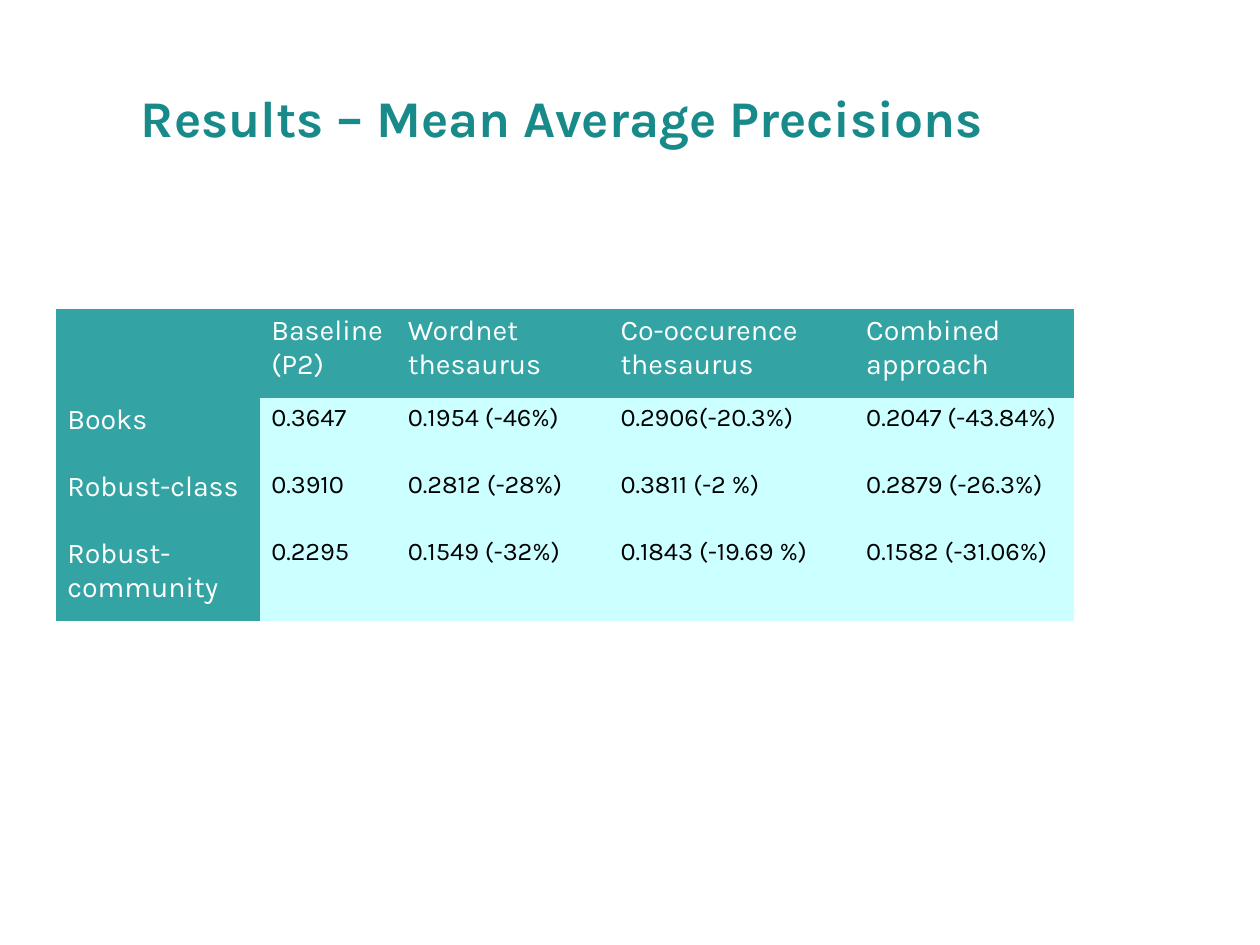
import pptx
import pptx.util
import pptx.dml.color
import pptx.enum.text

TITLE_TEAL = pptx.dml.color.RGBColor(0x19, 0x8A, 0x8A)
HEADER_TEAL = pptx.dml.color.RGBColor(0x33, 0xA3, 0xA3)
PALE_CYAN = pptx.dml.color.RGBColor(0xCC, 0xFF, 0xFF)
WHITE = pptx.dml.color.RGBColor(0xFF, 0xFF, 0xFF)
BLACK = pptx.dml.color.RGBColor(0x00, 0x00, 0x00)
FONT = "Karla"
PLAIN_STYLE = "{2D5ABB26-0587-4C30-8999-92F81FD0307C}"  # no style, no grid

COLUMN_WIDTHS = [128.5, 86.1, 133.9, 154.8, 138.2]
ROW_HEIGHTS = [56.2, 42.2, 42.2, 56.4]
RESULTS = [
    ["", "Baseline (P2)", "Wordnet thesaurus", "Co-occurence thesaurus", "Combined approach"],
    ["Books", "0.3647", "0.1954 (-46%)", "0.2906(-20.3%)", "0.2047 (-43.84%)"],
    ["Robust-class", "0.3910", "0.2812 (-28%)", "0.3811 (-2 %)", "0.2879 (-26.3%)"],
    ["Robust-community", "0.2295", "0.1549 (-32%)", "0.1843 (-19.69 %)", "0.1582 (-31.06%)"],
]

prs = pptx.Presentation()
prs.slide_width = pptx.util.Pt(793.7)
prs.slide_height = pptx.util.Pt(595.28)
s = prs.slides.add_slide(prs.slide_layouts[5])

# Title
sp = s.shapes.title
sp.left, sp.top = pptx.util.Pt(28), pptx.util.Pt(23.8)
sp.width, sp.height = pptx.util.Pt(652.3), pptx.util.Pt(99.4)
tf = sp.text_frame
tf.text = "Results – Mean Average Precisions"
tf.auto_size = pptx.enum.text.MSO_AUTO_SIZE.NONE
tf.vertical_anchor = pptx.enum.text.MSO_ANCHOR.MIDDLE
tf.margin_left = tf.margin_right = tf.margin_top = tf.margin_bottom = 0
p = tf.paragraphs[0]
p.alignment = pptx.enum.text.PP_ALIGN.CENTER
p.font.name, p.font.size, p.font.bold = FONT, pptx.util.Pt(32.4), True
p.font.color.rgb = TITLE_TEAL

# Results table without borders or banding
frame = s.shapes.add_table(len(ROW_HEIGHTS), len(COLUMN_WIDTHS),
                           pptx.util.Pt(35.2), pptx.util.Pt(194.5),
                           pptx.util.Pt(sum(COLUMN_WIDTHS)), pptx.util.Pt(sum(ROW_HEIGHTS)))
table = frame.table
table.first_row = table.horz_banding = False
table._tbl.tblPr[0].text = PLAIN_STYLE
for column, width in zip(table.columns, COLUMN_WIDTHS):
    column.width = pptx.util.Pt(width)
for row, height in zip(table.rows, ROW_HEIGHTS):
    row.height = pptx.util.Pt(height)

# Cells: the first row and the first column are headers
for i, values in enumerate(RESULTS):
    for j, value in enumerate(values):
        header = i == 0 or j == 0
        cell = table.cell(i, j)
        cell.text = value
        cell.fill.solid()
        cell.fill.fore_color.rgb = HEADER_TEAL if header else PALE_CYAN
        p = cell.text_frame.paragraphs[0]
        if header:
            p.alignment = pptx.enum.text.PP_ALIGN.JUSTIFY
        p.font.name = FONT
        p.font.size = pptx.util.Pt(18 if header else 16)
        p.font.color.rgb = WHITE if header else BLACK

prs.save("out.pptx")
